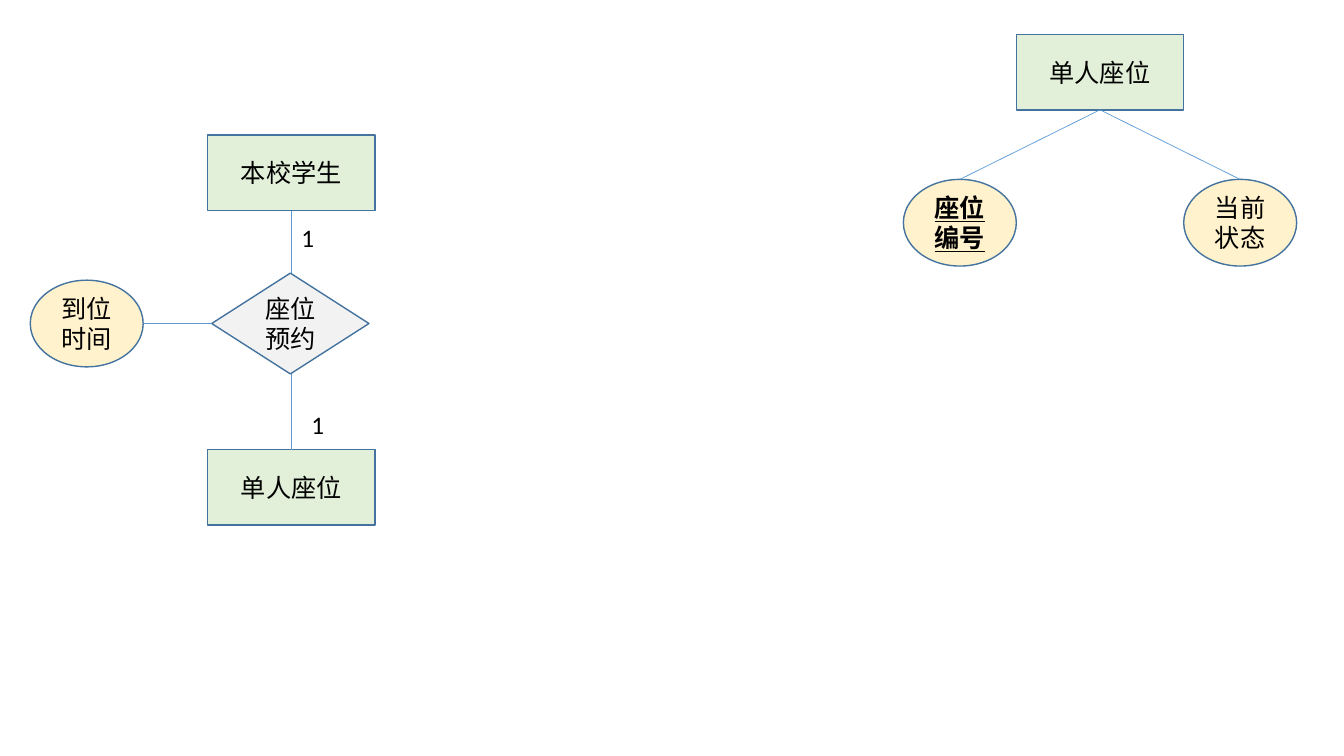
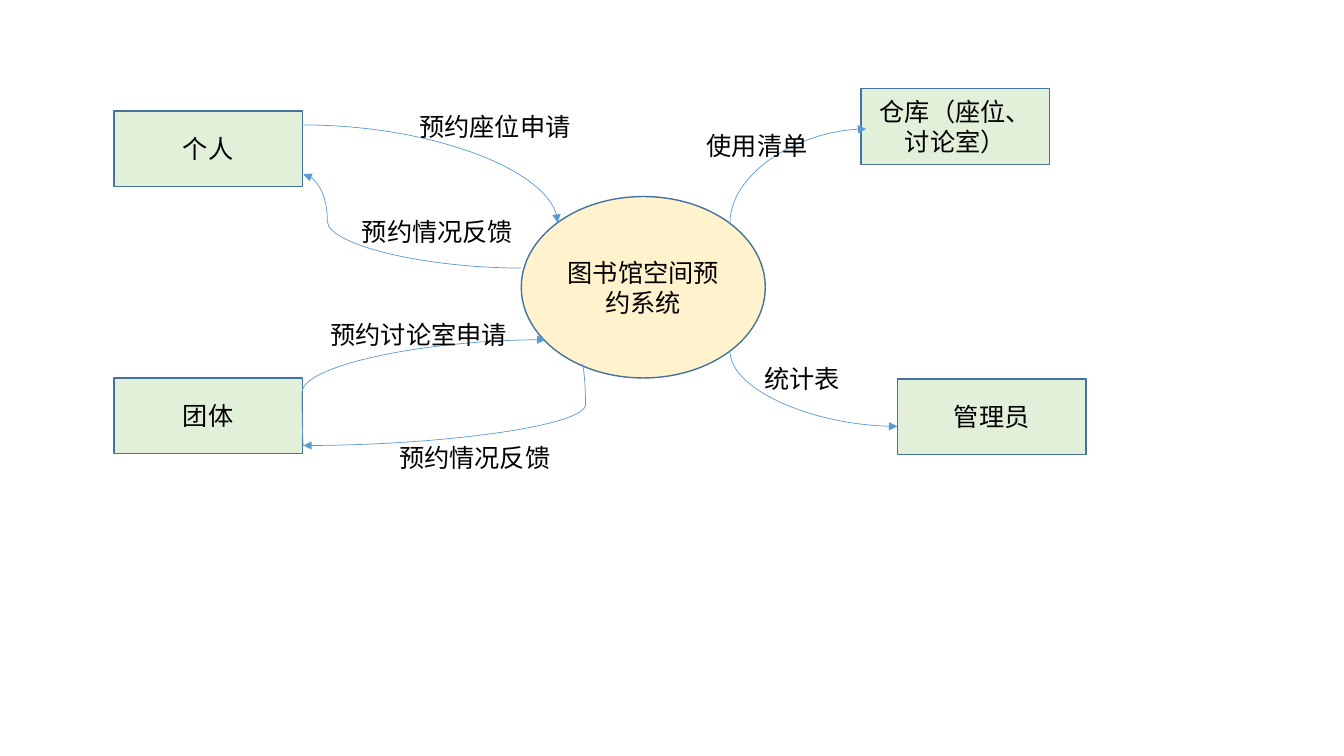
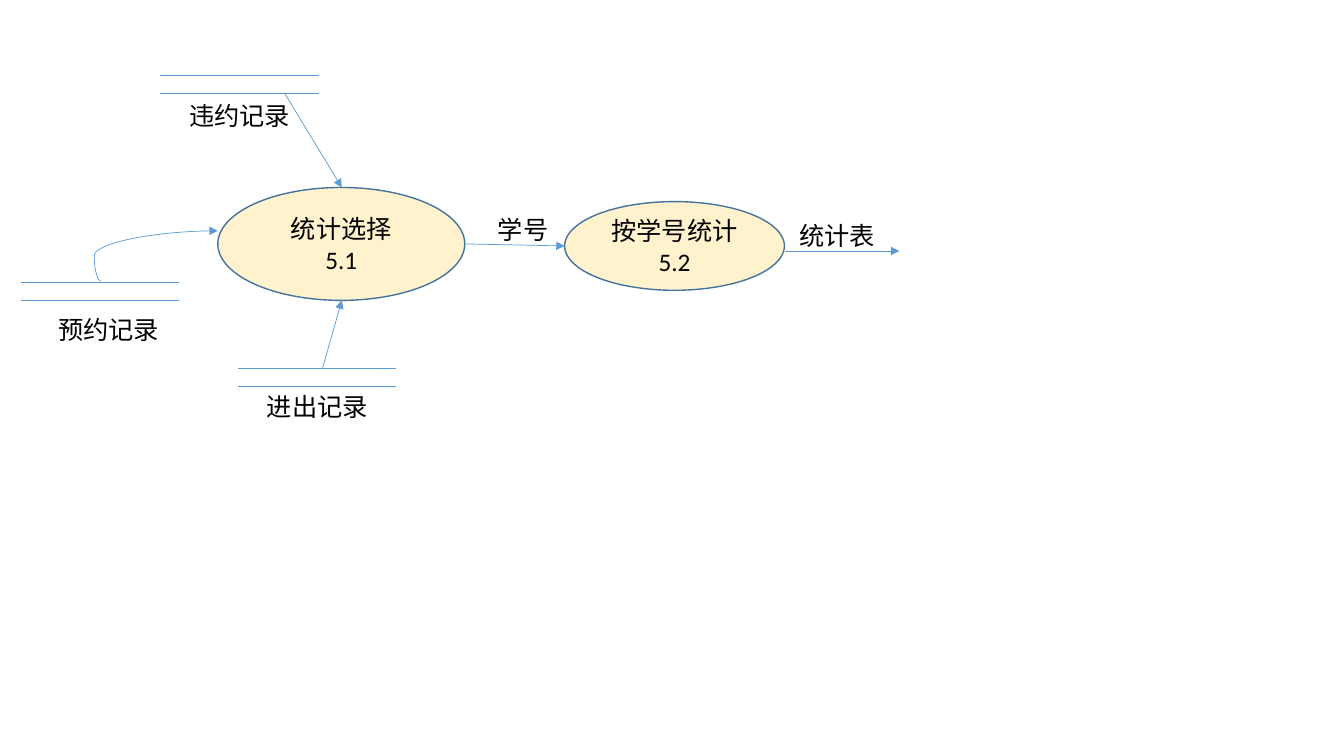
from pptx import Presentation
from pptx.dml.color import RGBColor
from pptx.enum.shapes import MSO_CONNECTOR as LINK, MSO_SHAPE as SHAPE
from pptx.enum.text import MSO_ANCHOR, MSO_AUTO_SIZE, PP_ALIGN
from pptx.oxml.ns import qn
from pptx.util import Inches, Pt
from lxml.etree import SubElement

rgb = RGBColor.from_string
FONT, SIZE, INK = "Calibri", Pt(18), "000000"
BORDER, LINE = "43739E", "5B9BD5"
FILLS = {SHAPE.RECTANGLE: "E2F0D9", SHAPE.OVAL: "FFF2CC", SHAPE.DIAMOND: "F2F2F2"}

prs = Presentation()
prs.slide_width, prs.slide_height = Inches(13.33), Inches(7.5)
blank = prs.slide_layouts[6]


def add_node(s, text, x, y, w, h=0.4, shape=None, wrap=True):
    """Add a filled shape, or a plain label when no shape is given."""
    box = [Inches(v) for v in (x, y, w, h)]
    sp = s.shapes.add_shape(shape, *box) if shape else s.shapes.add_textbox(*box)
    tf = sp.text_frame
    tf.text = text
    tf.word_wrap = wrap
    if shape:
        sp.shadow.inherit = False
        sp.fill.solid()
        sp.fill.fore_color.rgb = rgb(FILLS[shape])
        sp.line.color.rgb = rgb(BORDER)
        sp.line.width = Pt(1)
        tf.vertical_anchor = MSO_ANCHOR.MIDDLE
    else:
        tf.auto_size = MSO_AUTO_SIZE.SHAPE_TO_FIT_TEXT
    for p in tf.paragraphs:
        p.alignment = PP_ALIGN.CENTER if shape else PP_ALIGN.LEFT
        for r in p.runs:
            r.font.name, r.font.size = FONT, SIZE
            r.font.color.rgb = rgb(INK)
    return sp


def add_link(s, x1, y1, x2, y2, arrow=False, curve=None, adj=None):
    """Curve is None, "s" (bend set by adj), "across" or "down" (first direction)."""
    if curve == "down":
        # A quarter turn about the centre makes the curve leave vertically
        cx, cy, dx, dy = (x1 + x2) / 2, (y1 + y2) / 2, (x2 - x1) / 2, (y2 - y1) / 2
        x1, y1, x2, y2 = cx + dy, cy - dx, cx - dy, cy + dx
    kind = LINK.CURVE if curve else LINK.STRAIGHT
    c = s.shapes.add_connector(kind, *[Inches(v) for v in (x1, y1, x2, y2)])
    c.line.color.rgb = rgb(LINE)
    c.line.width = Pt(0.5)
    pr = c._element.spPr
    geom = pr.find(qn("a:prstGeom"))
    if curve in ("across", "down"):
        geom.set("prst", "curvedConnector2")
    if curve == "down":
        pr.find(qn("a:xfrm")).set("rot", str(270 * 60000))
    if adj is not None:
        SubElement(geom.find(qn("a:avLst")), qn("a:gd"), name="adj1", fmla=f"val {round(adj * 100000)}")
    if arrow:
        SubElement(pr.find(qn("a:ln")), qn("a:tailEnd"), type="triangle")
    SubElement(pr, qn("a:effectLst"))


# Slide 1: entities, attributes and the booking relationship
s = prs.slides.add_slide(blank)
for text, x, y in [("单人座位", 10.08, 0.34), ("本校学生", 2.06, 1.34), ("单人座位", 2.06, 4.46)]:
    add_node(s, text, x, y, 1.66, 0.75, SHAPE.RECTANGLE)
for text, x, y, is_key in [("座位编号", 8.96, 1.78, True), ("当前状态", 11.74, 1.78, False),
                           ("到位时间", 0.3, 2.78, False)]:
    sp = add_node(s, text, x, y, 1.12, 0.86, SHAPE.OVAL)
    if is_key:
        font = sp.text_frame.paragraphs[0].runs[0].font
        font.bold = font.underline = True
add_node(s, "座位预约", 2.1, 2.71, 1.56, 1, SHAPE.DIAMOND)
for ends in [(9.52, 1.78, 10.91, 1.09), (12.3, 1.78, 10.91, 1.09), (2.89, 2.09, 2.89, 2.71),
             (2.89, 3.71, 2.89, 4.46), (2.1, 3.21, 1.42, 3.21)]:
    add_link(s, *ends)
for x, y in [(2.89, 2.16), (2.99, 4.01)]:
    add_node(s, "1", x, y, 0.33, wrap=False)

# Slide 2: context diagram of the booking system
s = prs.slides.add_slide(blank)
for text, x, y in [("个人", 1.13, 1.1), ("团体", 1.13, 3.75),
                   ("仓库（座位、讨论室）", 8.54, 0.88), ("管理员", 8.9, 3.76)]:
    add_node(s, text, x, y, 1.87, 0.75, SHAPE.RECTANGLE)
add_node(s, "图书馆空间预约系统", 5.17, 1.95, 2.42, 1.8, SHAPE.OVAL)
for x1, y1, x2, y2, curve, adj in [
    (3.01, 1.24, 5.53, 2.21, "across", None),
    (5.17, 2.66, 3.01, 1.73, "s", 0.89),
    (3.01, 4.42, 5.41, 3.37, "s", -0.006),
    (5.77, 3.61, 3.01, 4.42, "s", -0.014),
    (7.24, 2.21, 8.59, 1.28, "down", None),
    (7.24, 3.48, 8.9, 4.23, "down", None),
]:
    add_link(s, x1, y1, x2, y2, True, curve, adj)
for text, x, y, w in [
    ("预约座位申请", 4.06, 1.06, 1.72), ("预约情况反馈", 3.49, 2.1, 1.79),
    ("预约讨论室申请", 3.18, 3.12, 1.99), ("预约情况反馈", 3.86, 4.34, 1.92),
    ("使用清单", 6.91, 1.24, 1.31), ("统计表", 7.48, 3.56, 1.67),
]:
    add_node(s, text, x, y, w)

# Slide 3: data flow of the statistics process
s = prs.slides.add_slide(blank)
add_node(s, "统计选择\n5.1", 2.16, 1.86, 2.45, 1.12, SHAPE.OVAL)
add_node(s, "按学号统计\n5.2", 5.6, 2, 2.18, 0.88, SHAPE.OVAL)
# Each data store is a pair of parallel lines
for x, top in [(2.36, 3.65), (0.21, 2.8), (1.59, 0.75)]:
    for y in (top, top + 0.18):
        add_link(s, x, y, x + 1.57, y)
for ends in [(2.82, 0.92, 3.39, 1.86), (3.2, 3.65, 3.39, 2.98),
             (4.61, 2.42, 5.6, 2.44), (7.79, 2.49, 8.92, 2.49)]:
    add_link(s, *ends, arrow=True)
add_link(s, 1, 2.79, 2.16, 2.29, True, "s", -0.057)
for text, x, y, w in [
    ("进出记录", 2.55, 3.83, 1.67), ("预约记录", 0.48, 3.07, 1.3), ("违约记录", 1.78, 0.95, 1.24),
    ("学号", 4.84, 2.08, 0.72), ("统计表", 7.83, 2.14, 1.09),
]:
    add_node(s, text, x, y, w)

prs.save("out.pptx")
